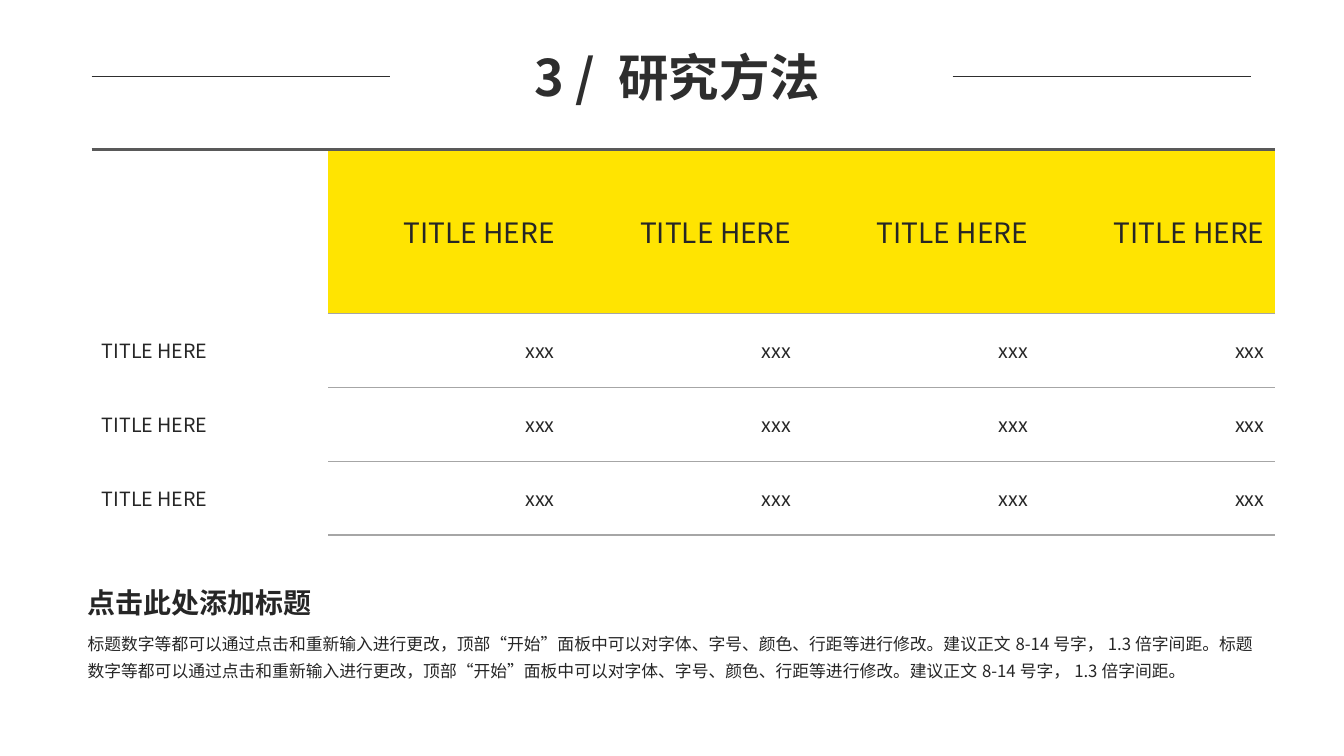
from pptx import Presentation, util as u
from pptx.dml.color import RGBColor
from pptx.enum import shapes, text
from pptx.oxml import parse_xml
from pptx.oxml.ns import nsdecls, qn
from lxml import etree

FONT = "Noto Sans CJK SC"
HUES = {"title": "2E2E2E", "ink": "262626", "head": "FFE401",
        "top": "595959", "rule": "A6A6A6"}
PLAIN = "{2D5ABB26-0587-4C30-8999-92F81FD0307C}"
HINT = ("标题数字等都可以通过点击和重新输入进行更改，顶部“开始”面板中可以对字体、"
        "字号、颜色、行距等进行修改。建议正文8-14号字，1.3倍字间距。")


class Page:
    """Hold the style and the current slide, and add its elements."""

    def __init__(self, deck):
        self.slide = deck.slides.add_slide(deck.slide_layouts[4])
        self.slots = {s.placeholder_format.idx: s for s in self.slide.placeholders}

    def style(self, frame, size, hue="ink", bold=False, side="LEFT", gap=1):
        for para in frame.paragraphs:
            para.alignment = text.PP_ALIGN[side]
            para.line_spacing = gap
            para.space_before = u.Pt(0)
            for run in para.runs:
                font = run.font
                font.name, font.size, font.bold = FONT, u.Pt(size), bold
                font.color.rgb = RGBColor.from_string(HUES[hue])
                east = etree.SubElement(run._r.get_or_add_rPr(), qn("a:ea"))
                east.set("typeface", FONT)

    def fill(self, idx, words, box, size, wrap=True, **look):
        slot = self.slots.pop(idx)
        slot.left, slot.top, slot.width, slot.height = map(u.Pt, box)
        frame = slot.text_frame
        frame.text = words
        frame.word_wrap = wrap
        frame.auto_size = text.MSO_AUTO_SIZE.NONE
        frame.vertical_anchor = text.MSO_ANCHOR.TOP
        self.style(frame, size, **look)

    def line(self, left, right, y):
        rule = self.slide.shapes.add_connector(
            shapes.MSO_CONNECTOR.STRAIGHT, u.Pt(left), u.Pt(y), u.Pt(right), u.Pt(y))
        rule.line.color.rgb = RGBColor.from_string(HUES["title"])
        rule.line.width = u.Pt(0.5)
        etree.SubElement(rule._element.spPr, qn("a:effectLst"))

    def edge(self, cell, tag, hue, width):
        props = cell._tc.get_or_add_tcPr()
        props.append(parse_xml(
            f'<a:{tag} {nsdecls("a")} w="{u.Pt(width)}"><a:solidFill>'
            f'<a:srgbClr val="{HUES[hue]}"/></a:solidFill></a:{tag}>'))

    def table(self, rows, box, tall):
        left, top, wide, high = map(u.Pt, box)
        grid = self.slide.shapes.add_table(
            len(rows), len(rows[0]), left, top, wide, high).table
        grid.first_row = grid.horz_banding = False
        grid._tbl.tblPr[0].text = PLAIN
        for row, size in zip(grid.rows, tall):
            row.height = u.Pt(size)
        for r, row in enumerate(rows):
            for c, words in enumerate(row):
                self.cell(grid.cell(r, c), words, r == 0, c == 0)

    def cell(self, cell, words, head, side):
        cell.text = words
        cell.vertical_anchor = text.MSO_ANCHOR.MIDDLE
        self.style(cell.text_frame, 20 if head else 14, side="LEFT" if side else "RIGHT")
        if head:
            self.edge(cell, "lnT", "top", 2.25)
        elif not side:
            self.edge(cell, "lnT", "rule", 1)
        if not side:
            self.edge(cell, "lnB", "rule", 1)
        if head and not side:
            cell.fill.solid()
            cell.fill.fore_color.rgb = RGBColor.from_string(HUES["head"])
        else:
            cell.fill.background()

    def clear(self):
        for slot in self.slots.values():
            slot._element.getparent().remove(slot._element)


def main():
    deck = Presentation()
    deck.slide_width, deck.slide_height = u.Pt(960), u.Pt(540)
    page = Page(deck)
    page.fill(0, " 3 / 研究方法", (363.6, 29.5, 231.8, 51.1), 36,
              wrap=False, hue="title", bold=True, side="CENTER")
    rows = [[""] + ["TITLE HERE"] * 4] + [["TITLE HERE"] + ["xxx"] * 4] * 3
    page.table(rows, (65.5, 106.6, 845, 275.6), [117.2] + [52.8] * 3)
    page.fill(1, "点击此处添加标题", (55.4, 414.7, 274.3, 31.5), 20, bold=True)
    page.fill(3, HINT * 2, (55.4, 445, 854.6, 45.4), 12, gap=1.3)
    for left in (65.5, 680.4):
        page.line(left, left + 213.1, 54.7)
    page.clear()
    deck.save("out.pptx")


if __name__ == "__main__":
    main()
